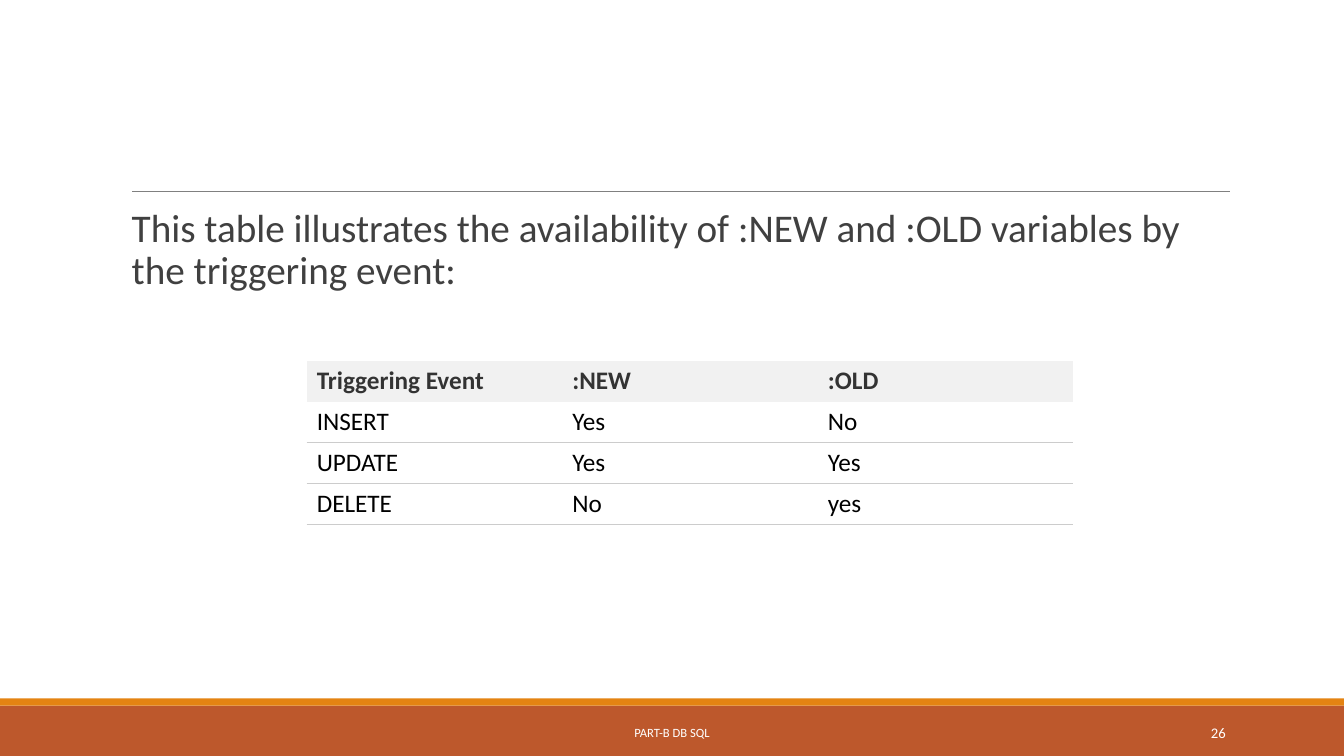
from lxml.etree import SubElement
from pptx import Presentation
from pptx.dml.color import RGBColor
from pptx.enum.shapes import MSO_CONNECTOR as Connector, MSO_SHAPE as Shape
from pptx.enum.text import MSO_ANCHOR as Anchor, PP_ALIGN as Align
from pptx.oxml.ns import qn
from pptx.util import Cm, Pt

RUST = RGBColor(0xBD, 0x58, 0x2C)
ORANGE = RGBColor(0xE4, 0x83, 0x12)
RULE_GRAY = RGBColor(0x80, 0x80, 0x80)
BODY_GRAY = RGBColor(0x40, 0x40, 0x40)
HEADER_TEXT = RGBColor(0x33, 0x33, 0x33)
HEADER_FILL = RGBColor(0xF1, 0xF1, 0xF1)
BORDER_GRAY = RGBColor(0xCC, 0xCC, 0xCC)
BLACK = RGBColor(0, 0, 0)
WHITE = RGBColor(0xFF, 0xFF, 0xFF)

FONT = "Calibri"
SLIDE_WIDTH, SLIDE_HEIGHT = Cm(33.87), Cm(19.05)
COLUMN_WIDTH, ROW_HEIGHT = Cm(6.44), Cm(1.03)

AVAILABILITY = [
    ("Triggering Event", ":NEW", ":OLD"),
    ("INSERT", "Yes", "No"),
    ("UPDATE", "Yes", "Yes"),
    ("DELETE", "No", "yes"),
]


def style_runs(paragraph, size, color, bold=False):
    for run in paragraph.runs:
        run.font.name = FONT
        run.font.size = Pt(size)
        run.font.bold = bold
        run.font.color.rgb = color


def add_band(slide, top, height, color):
    band = slide.shapes.add_shape(Shape.RECTANGLE, 0, top, SLIDE_WIDTH, height)
    band.shadow.inherit = False
    band.fill.solid()
    band.fill.fore_color.rgb = color
    band.line.fill.background()


def add_title_rule(slide):
    y = Cm(4.82)
    rule = slide.shapes.add_connector(Connector.STRAIGHT, Cm(3.33), y, Cm(31), y)
    rule.line.color.rgb = RULE_GRAY
    rule.line.width = Pt(0.5)
    SubElement(rule.element.spPr, qn("a:effectLst"))


def add_text(slide, text, left, top, width, height, size, color,
             align=Align.LEFT, anchor=Anchor.MIDDLE):
    """Add a wrapping one-paragraph text box and return its paragraph."""
    frame = slide.shapes.add_textbox(left, top, width, height).text_frame
    frame.word_wrap = True
    frame.vertical_anchor = anchor
    frame.text = text
    paragraph = frame.paragraphs[0]
    paragraph.alignment = align
    style_runs(paragraph, size, color)
    return paragraph


def set_borders(cell, ruled_sides):
    """Rule the given sides (letters of "LRTB") and clear the others."""
    properties = cell._tc.get_or_add_tcPr()
    for side in "LRTB":
        border = SubElement(properties, qn(f"a:ln{side}"), w=str(Pt(0.75)))
        if side in ruled_sides:
            fill = SubElement(border, qn("a:solidFill"))
            SubElement(fill, qn("a:srgbClr"), val=str(BORDER_GRAY))
        else:
            SubElement(border, qn("a:noFill"))


def add_availability_table(slide):
    row_count, column_count = len(AVAILABILITY), len(AVAILABILITY[0])
    table = slide.shapes.add_table(
        row_count, column_count, Cm(7.73), Cm(9.09),
        COLUMN_WIDTH * column_count, ROW_HEIGHT * row_count).table
    table.first_row = table.horz_banding = False
    for row_index, values in enumerate(AVAILABILITY):
        is_header = row_index == 0
        # Neighbouring rows must agree on the edge they share.
        ruled_sides = ("", "B")[row_index] if row_index < 2 else "TB"
        for column_index, value in enumerate(values):
            cell = table.cell(row_index, column_index)
            cell.text = value
            style_runs(cell.text_frame.paragraphs[0], 18,
                       HEADER_TEXT if is_header else BLACK, bold=is_header)
            set_borders(cell, ruled_sides)
            cell.fill.solid()
            cell.fill.fore_color.rgb = HEADER_FILL if is_header else WHITE


def main():
    deck = Presentation()
    deck.slide_width, deck.slide_height = SLIDE_WIDTH, SLIDE_HEIGHT
    slide = deck.slides.add_slide(deck.slide_layouts[6])

    add_band(slide, Cm(17.78), Cm(1.27), RUST)
    add_band(slide, Cm(17.6), Cm(0.18), ORANGE)
    add_title_rule(slide)

    intro = add_text(
        slide,
        "This table illustrates the availability of :NEW and :OLD variables "
        "by the triggering event:",
        Cm(3.07), Cm(5.13), Cm(27.94), Cm(11.18), 28, BODY_GRAY, anchor=Anchor.TOP)
    intro.line_spacing = 0.9
    intro.space_before, intro.space_after = Pt(12), Pt(2)

    footer_top, footer_height = Cm(17.95), Cm(1.02)
    add_text(slide, "PART-B DB SQL", Cm(10.24), footer_top, Cm(13.39), footer_height,
             9, WHITE, Align.CENTER)
    add_text(slide, "26", Cm(27.51), footer_top, Cm(3.63), footer_height,
             10.5, WHITE, Align.RIGHT)
    add_availability_table(slide)

    deck.save("out.pptx")


if __name__ == "__main__":
    main()
